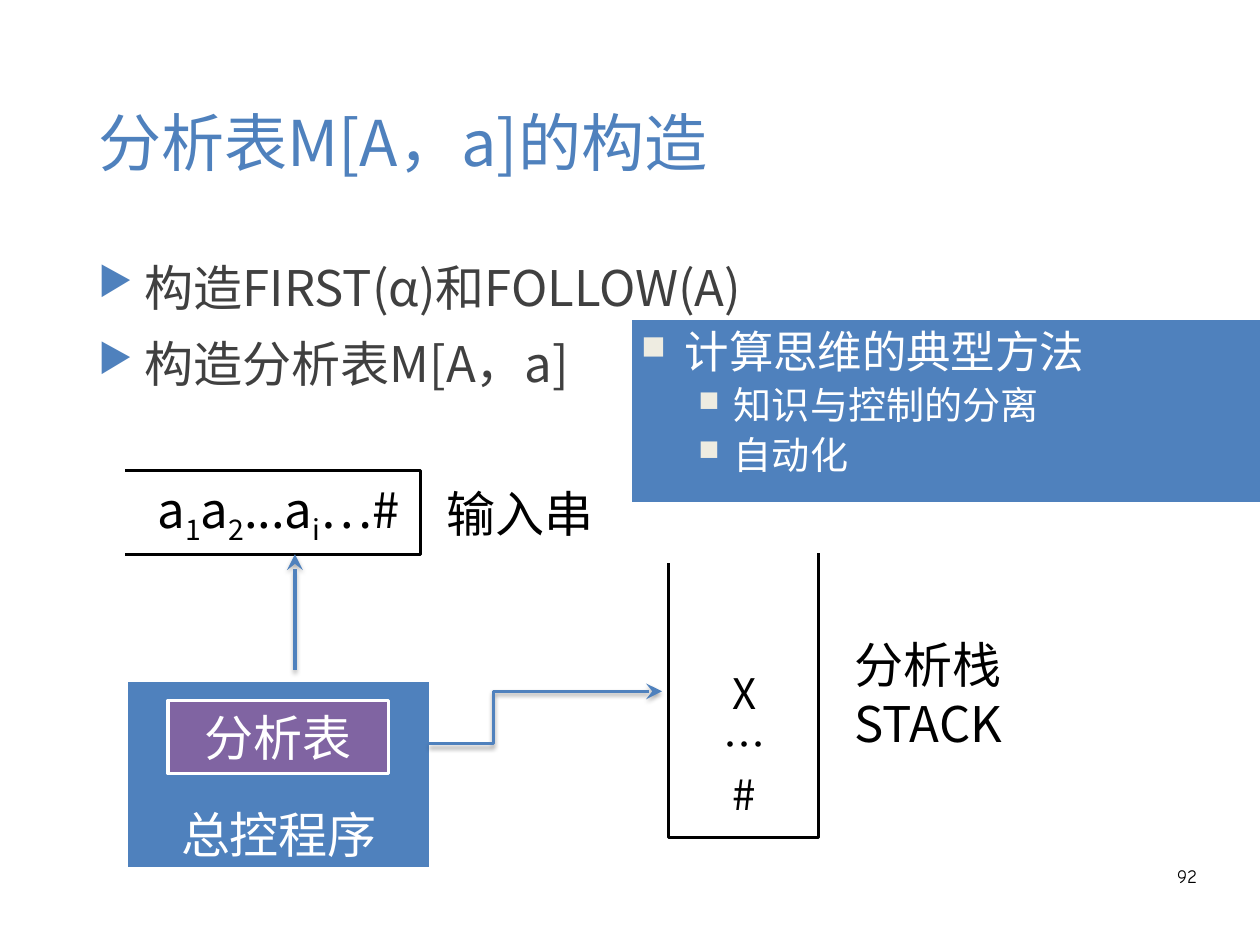
from lxml import etree
from pptx import Presentation
from pptx import util as u
from pptx.dml.color import RGBColor
from pptx.enum import shapes, text
from pptx.oxml import ns

WIDTH, HEIGHT = u.Cm(28), u.Cm(21)
SANS, COMIC, SYMBOL = "Noto Sans CJK SC", "Comic Neue", "OpenSymbol"
BLUE, PURPLE, CREAM = "4F81BD", "8064A2", "EEECE1"
WHITE, BLACK, GRAY = "FFFFFF", "000000", "404040"
LEFT, CENTER, RIGHT = text.PP_ALIGN.LEFT, text.PP_ALIGN.CENTER, text.PP_ALIGN.RIGHT
TOP, MIDDLE, BOTTOM = (text.MSO_ANCHOR.TOP, text.MSO_ANCHOR.MIDDLE,
                       text.MSO_ANCHOR.BOTTOM)


def color(value):
    return RGBColor.from_string(value)


def place(x, y):
    """Turn percentages of the slide's width and height into lengths."""
    return round(WIDTH * x / 100), round(HEIGHT * y / 100)


def add_element(parent, tag, **attributes):
    element = etree.SubElement(parent, ns.qn(tag))
    for name, value in attributes.items():
        element.set(name, str(value))
    return element


def add_bullet(paragraph, character, fill, percent, indent, hanging):
    properties = paragraph._p.get_or_add_pPr()
    properties.set("marL", str(u.Inches(indent)))
    properties.set("indent", str(-u.Inches(hanging)))
    add_element(add_element(properties, "a:buClr"), "a:srgbClr", val=fill)
    add_element(properties, "a:buSzPct", val=percent * 1000)
    add_element(properties, "a:buFont", typeface=SYMBOL)
    add_element(properties, "a:buChar", char=character)


def write(frame, markup, size=30.9, fill=BLACK, font=SANS, align=CENTER,
          before=0, spacing=None, bullet=None, level=0):
    """Write one paragraph; parts between underscores are subscripts."""
    first = not frame.paragraphs[0].runs
    paragraph = frame.paragraphs[0] if first else frame.add_paragraph()
    if bullet:
        add_bullet(paragraph, *bullet)
    paragraph.level = level
    paragraph.alignment = align
    if spacing:
        paragraph.line_spacing = spacing
    if before and not first:
        paragraph.space_before = u.Pt(before)
    for index, part in enumerate(markup.split("_")):
        run = paragraph.add_run()
        run.text = part
        run.font.size = u.Pt(size)
        run.font.color.rgb = color(fill)
        run.font.name = font
        properties = run._r.get_or_add_rPr()
        add_element(properties, "a:ea", typeface=font)
        if index % 2:
            properties.set("baseline", "-25000")


def prepare(frame, anchor, wrap):
    frame.vertical_anchor = anchor
    frame.word_wrap = wrap
    if not wrap:
        frame.margin_left = frame.margin_right = 0
    return frame


def add_text_box(slide, x, y, width, height, anchor=MIDDLE, wrap=False):
    box = slide.shapes.add_textbox(*place(x, y), *place(width, height))
    return prepare(box.text_frame, anchor, wrap)


def add_box(slide, x, y, width, height, fill, anchor=MIDDLE, wrap=False):
    box = slide.shapes.add_shape(shapes.MSO_SHAPE.RECTANGLE,
                                 *place(x, y), *place(width, height))
    box.shadow.inherit = False
    box.fill.solid()
    box.fill.fore_color.rgb = color(fill)
    box.line.color.rgb = color(WHITE)
    box.line.width = u.Pt(2)
    return prepare(box.text_frame, anchor, wrap)


def add_outline(slide, points, stroke=BLACK, width=1.75):
    start, *others = [place(*point) for point in points]
    builder = slide.shapes.build_freeform(*start, scale=1.0)
    builder.add_line_segments(others, close=False)
    outline = builder.convert_to_shape()
    outline.shadow.inherit = False
    outline.fill.background()
    outline.line.color.rgb = color(stroke)
    outline.line.width = u.Pt(width)
    outline.line._get_or_add_ln().set("cap", "sq")
    return outline


def add_arrow(slide, points):
    """Draw a shadowed arrow: a connector if straight, an outline if bent."""
    if len(points) == 2:
        begin, end = points
        arrow = slide.shapes.add_connector(shapes.MSO_CONNECTOR.STRAIGHT,
                                           *place(*begin), *place(*end))
        arrow.line.color.rgb = color(BLUE)
        arrow.line.width = u.Pt(2)
        effects = add_element(arrow._element.spPr, "a:effectLst")
    else:
        arrow = add_outline(slide, points, BLUE, 2)
        effects = arrow._element.spPr.find(ns.qn("a:effectLst"))
    add_element(arrow.line._get_or_add_ln(), "a:tailEnd", type="stealth",
                w="lg", len="lg")
    shadow = add_element(effects, "a:outerShdw", blurRad=u.Pt(3), dist=u.Pt(2),
                         dir=90 * 60000, rotWithShape=0)
    shade = add_element(shadow, "a:srgbClr", val=BLACK)
    add_element(shade, "a:alpha", val=35000)


def add_heading(slide):
    title = add_text_box(slide, 6.9, 5.32, 86.3, 19.35, wrap=True)
    write(title, "分析表M[A，a]的构造", size=39.7, fill=BLUE, align=LEFT)

    body = add_text_box(slide, 6.9, 26.6, 86.3, 63.48, anchor=TOP, wrap=True)
    for step in ("构造FIRST(α)和FOLLOW(A)", "构造分析表M[A，a]"):
        write(body, step, fill=GRAY, align=LEFT, before=11,
              bullet=("▶", BLUE, 80, 0.41, 0.41))


def add_parser(slide):
    # Control program with its table
    control = add_box(slide, 10.07, 71.95, 24.14, 19.95, BLUE, BOTTOM)
    write(control, "总控程序", fill=WHITE)
    table = add_box(slide, 13.34, 74.12, 17.51, 7.74, PURPLE)
    write(table, "分析表", fill=WHITE)

    # Stack
    add_outline(slide, [(53.09, 59.73), (53.09, 88.63),
                        (64.97, 88.63), (64.97, 58.65)])
    stack = add_text_box(slide, 54.9, 69.77, 8.35, 17.78)
    for symbol in ("X", "…", "#"):
        write(stack, symbol, size=26.5)
    stack_label = add_text_box(slide, 63.25, 65.54, 20.87, 15.6)
    for line in ("分析栈", "STACK"):
        write(stack_label, line)

    # Input tape
    add_outline(slide, [(10.07, 49.82), (33.39, 49.82),
                        (33.39, 58.65), (10.07, 58.65)])
    write(add_text_box(slide, 11.71, 50.91, 20.78, 6.65), "a_1_a_2_...a_i_…#")
    write(add_text_box(slide, 30.85, 50.91, 20.87, 6.65), "输入串")

    # Arrows from the control program
    add_arrow(slide, [(23.41, 70.86), (23.41, 58.65)])
    add_arrow(slide, [(34.21, 78.72), (39.2, 78.72),
                      (39.2, 73.16), (52.54, 73.16)])


def add_methods(slide):
    panel = add_box(slide, 50, 33.74, 50.36, 19.59, BLUE, TOP, wrap=True)
    for level, size, indent, hanging, line in (
            (0, 28, 0.38, 0.38, "计算思维的典型方法"),
            (1, 24, 0.81, 0.31, "知识与控制的分离"),
            (1, 24, 0.81, 0.31, "自动化")):
        write(panel, line, size=size, fill=WHITE, align=LEFT, before=2.4,
              level=level, bullet=("■", CREAM, 75, indent, hanging))


def add_page_number(slide):
    number = add_text_box(slide, 71.69, 91.05, 23.32, 6.89, TOP, wrap=True)
    number.margin_left = number.margin_right = 0
    number.margin_top = number.margin_bottom = 0
    write(number, "92", size=12, font=COMIC, align=RIGHT, spacing=1.16)


def main():
    presentation = Presentation()
    presentation.slide_width, presentation.slide_height = WIDTH, HEIGHT
    slide = presentation.slides.add_slide(presentation.slide_layouts[6])
    add_heading(slide)
    add_parser(slide)
    add_methods(slide)
    add_page_number(slide)
    presentation.save("out.pptx")


if __name__ == "__main__":
    main()
